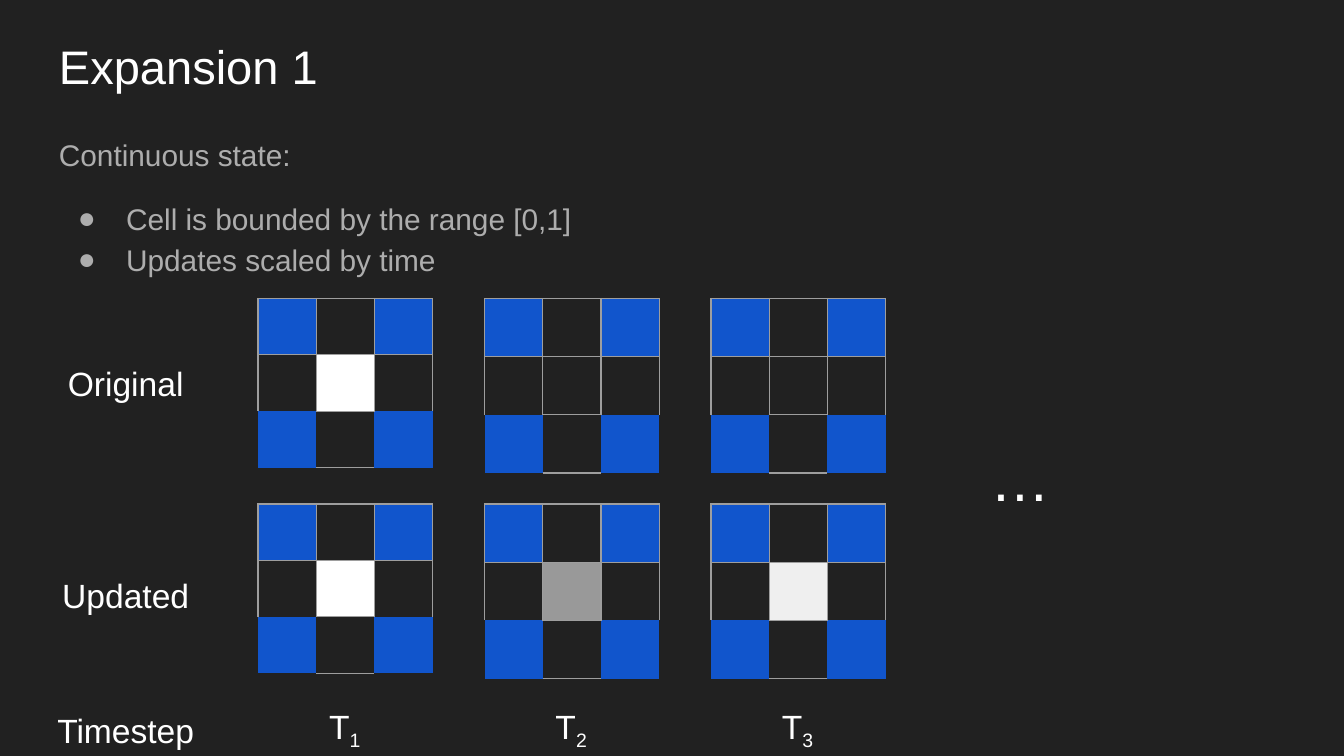
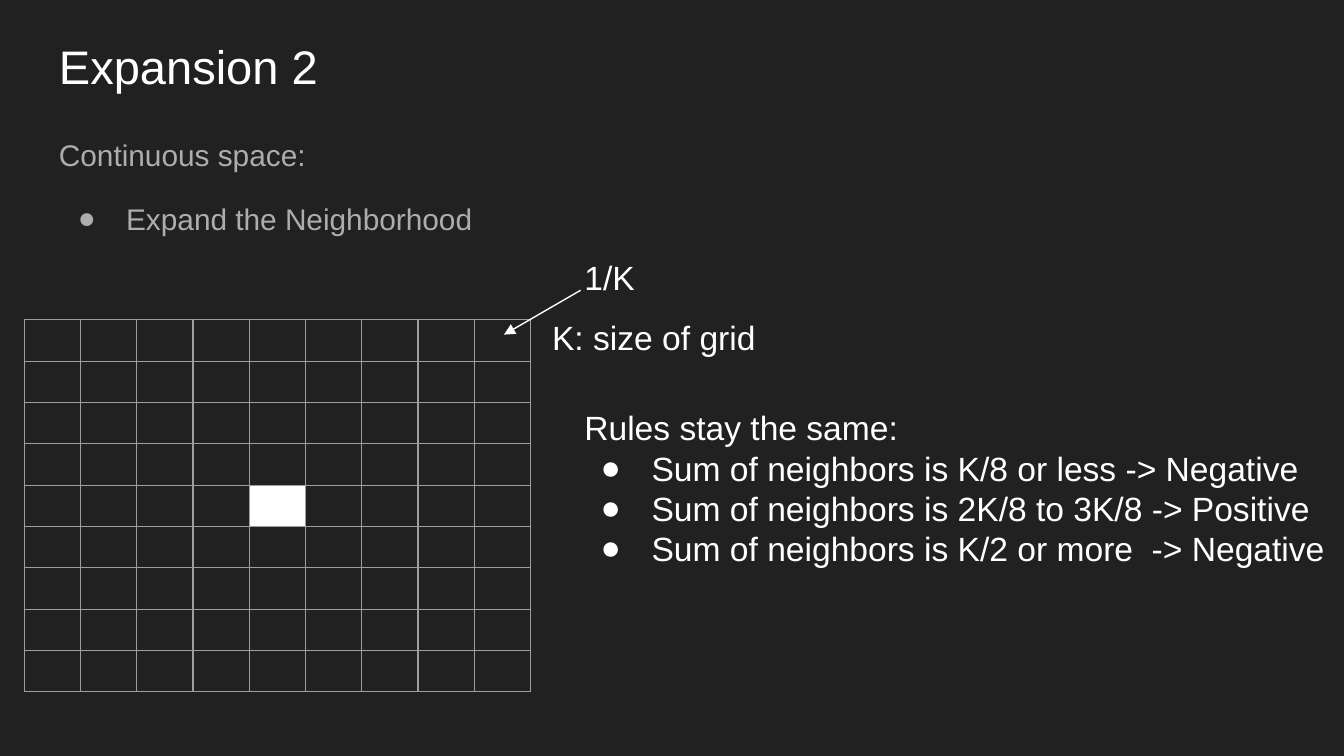
import lxml.etree
import pptx
import pptx.dml.color
import pptx.enum.shapes
import pptx.enum.text
import pptx.oxml.ns
import pptx.util

Inches = pptx.util.Inches
Pt = pptx.util.Pt
qn = pptx.oxml.ns.qn
ALIGN = pptx.enum.text.PP_ALIGN
ANCHOR = pptx.enum.text.MSO_ANCHOR

FONT = "Arial"
COLORS = {
    "background": "212121",
    "text": "FFFFFF",
    "muted": "ADADAD",
    "border": "9E9E9E",
    "corner": "1155CC",
    "alive": "FFFFFF",
    "half": "999999",
    "nearly": "EFEFEF",
}
NO_GRID_STYLE = "{2D5ABB26-0587-4C30-8999-92F81FD0307C}"
BORDER_WIDTH = 0.75

# Sides (left, right, top, bottom) that carry a line in the 3 x 3 grids
NEIGHBOR_SIDES = [
    ["LRTB", "LRTB", "LRTB"],
    ["LRT", "LRTB", "LRT"],
    ["", "TB", ""],
]


def color(name):
    return pptx.dml.color.RGBColor.from_string(COLORS[name])


def set_bullet(paragraph, hanging, color_name):
    properties = paragraph._p.get_or_add_pPr()
    properties.set("marL", str(Inches(0.5)))
    properties.set("indent", str(-Inches(hanging)))
    bullet_color = lxml.etree.Element(qn("a:buClr"))
    lxml.etree.SubElement(bullet_color, qn("a:srgbClr"), val=COLORS[color_name])
    bullet_font = lxml.etree.Element(qn("a:buFont"), typeface=FONT)
    bullet = lxml.etree.Element(qn("a:buChar"), char="●")
    # Bullets come before the default run properties
    defaults = properties.find(qn("a:defRPr"))
    for part in (bullet_color, bullet_font, bullet):
        defaults.addprevious(part)


def add_text(page, place, lines, size=18, color_name="text", align=ALIGN.LEFT,
             anchor=ANCHOR.TOP, spacing=None):
    box = page.shapes.add_textbox(*map(Inches, place))
    frame = box.text_frame
    frame.word_wrap = True
    frame.vertical_anchor = anchor
    frame.margin_left = frame.margin_right = Inches(0.1)
    frame.margin_top = frame.margin_bottom = Inches(0.1)
    for index, line in enumerate(lines):
        paragraph = frame.paragraphs[0] if index == 0 else frame.add_paragraph()
        paragraph.add_run().text = line
        paragraph.alignment = align
        if spacing:
            paragraph.line_spacing = spacing
        paragraph.font.name = FONT
        paragraph.font.size = Pt(size)
        paragraph.font.color.rgb = color(color_name)
    return frame


def add_bulleted(page, place, heading, points, hanging, gap=0, **style):
    frame = add_text(page, place, [heading, *points], **style)
    bulleted = frame.paragraphs[1:]
    for paragraph in bulleted:
        set_bullet(paragraph, hanging, style.get("color_name", "text"))
    if gap:
        bulleted[0].space_before = Pt(gap)


def add_label(page, place, text, size=18):
    return add_text(page, place, [text], size, align=ALIGN.CENTER)


def add_timestep(page, center, number):
    frame = add_label(page, (center - 0.24, 5.15, 0.47, 0.5), "T")
    span = frame.paragraphs[0].add_run()
    span.text = str(number)
    span._r.get_or_add_rPr().set("baseline", "-25000")


def set_borders(cell, sides):
    properties = cell._tc.get_or_add_tcPr()
    for side in "LRTB":
        line = lxml.etree.SubElement(properties, qn(f"a:ln{side}"),
                                     w=str(Pt(BORDER_WIDTH)))
        if side in sides:
            fill = lxml.etree.SubElement(line, qn("a:solidFill"))
            lxml.etree.SubElement(fill, qn("a:srgbClr"), val=COLORS["border"])
        else:
            lxml.etree.SubElement(line, qn("a:noFill"))


def add_grid(page, place, count, fills, sides=None):
    """Add a square grid of cells; fills maps (row, column) to a color name."""
    left, top, width, height = map(Inches, place)
    graphic = page.shapes.add_table(count, count, left, top, width, height)
    table = graphic.table
    table.first_row = table.horz_banding = False
    for style in graphic._element.iter(qn("a:tableStyleId")):
        style.text = NO_GRID_STYLE
    for index in range(count):
        table.columns[index].width = int(width / count)
        table.rows[index].height = int(height / count)
    for row in range(count):
        for column in range(count):
            cell = table.cell(row, column)
            cell.margin_left = cell.margin_right = 0
            cell.margin_top = cell.margin_bottom = 0
            set_borders(cell, sides[row][column] if sides else "LRTB")
            if (row, column) in fills:
                cell.fill.solid()
                cell.fill.fore_color.rgb = color(fills[row, column])
            else:
                cell.fill.background()


def add_neighborhood(page, left, top, height, center):
    fills = {(row, column): "corner" for row in (0, 2) for column in (0, 2)}
    if center:
        fills[1, 1] = center
    add_grid(page, (left, top, 1.3, height), 3, fills, NEIGHBOR_SIDES)


def add_arrow(page, start, end):
    arrow = page.shapes.add_connector(
        pptx.enum.shapes.MSO_CONNECTOR.STRAIGHT, *map(Inches, start + end))
    arrow.line.color.rgb = color("text")
    arrow.line.width = Pt(0.75)
    lxml.etree.SubElement(arrow.line._get_or_add_ln(), qn("a:tailEnd"),
                          type="triangle")
    lxml.etree.SubElement(arrow._element.spPr, qn("a:effectLst"))


def add_page(deck, title, heading, points, body_width):
    page = deck.slides.add_slide(deck.slide_layouts[6])
    page.background.fill.solid()
    page.background.fill.fore_color.rgb = color("background")
    add_text(page, (0.34, 0.17, 9.32, 0.63), [title], 25.2,
             anchor=ANCHOR.BOTTOM)
    add_bulleted(page, (0.34, 0.88, body_width, 2.03), heading, points,
                 hanging=0.36, gap=12, size=16, color_name="muted",
                 spacing=1.15)
    return page


def build_state_page(deck):
    page = add_page(deck, "Expansion 1", "Continuous state:",
                    ["Cell is bounded by the range [0,1]",
                     "Updates scaled by time"], 9.32)

    # Row labels
    add_label(page, (0.34, 2.6, 1.19, 0.44), "Original")
    add_label(page, (0.34, 4.18, 1.19, 0.44), "Updated")
    add_label(page, (0.24, 5.18, 1.39, 0.44), "Timestep")

    # One column per timestep: grid height, center before and after
    timesteps = [
        (1.26, "alive", "alive"),
        (1.3, None, "half"),
        (1.3, None, "nearly"),
    ]
    for index, (height, before, after) in enumerate(timesteps):
        left = 1.92 + index * 3.37 / 2
        add_neighborhood(page, left, 2.22, height, before)
        add_neighborhood(page, left, 3.75, height, after)
        add_timestep(page, left + 0.65, index + 1)
    add_label(page, (7.27, 3.19, 0.64, 0.5), "…", 32)


def build_space_page(deck):
    page = add_page(deck, "Expansion 2", "Continuous space:",
                    ["Expand the Neighborhood"], 3.61)

    # Wide neighborhood with its notes
    add_grid(page, (0.18, 2.38, 3.77, 2.77), 9, {(4, 4): "alive"})
    add_text(page, (4.25, 1.81, 1.04, 0.44), ["1/K"])
    add_text(page, (4.01, 2.26, 1.97, 0.44), ["K: size of grid"])
    add_arrow(page, (4.32, 2.16), (3.75, 2.49))

    # Rules
    add_bulleted(page, (4.25, 2.93, 5.73, 1.41), "Rules stay the same:",
                 ["Sum of neighbors is K/8 or less -> Negative",
                  "Sum of neighbors is 2K/8 to 3K/8 -> Positive",
                  "Sum of neighbors is K/2 or more  -> Negative"],
                 hanging=0.38)


def main():
    deck = pptx.Presentation()
    # Widescreen, 16:9
    deck.slide_width = Inches(10)
    deck.slide_height = Inches(10) * 9 // 16
    build_state_page(deck)
    build_space_page(deck)
    deck.save("out.pptx")


if __name__ == "__main__":
    main()
